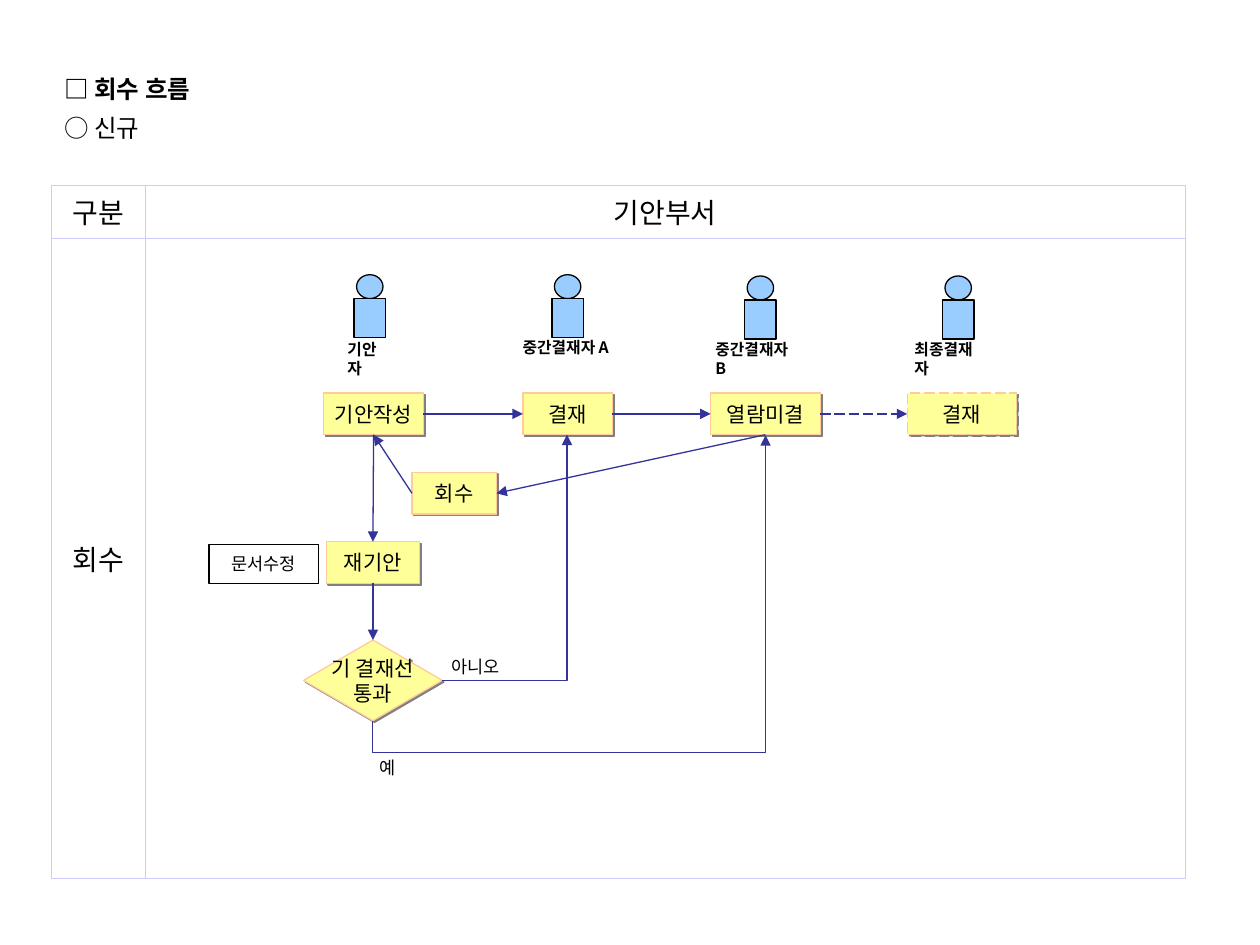
from lxml import etree
from pptx import Presentation
from pptx.dml.color import RGBColor
from pptx.enum.dml import MSO_LINE
from pptx.enum.shapes import MSO_CONNECTOR, MSO_SHAPE
from pptx.enum.text import MSO_ANCHOR, MSO_AUTO_SIZE, PP_ALIGN
from pptx.oxml.ns import qn
from pptx.util import Inches, Pt

RECTANGLE = MSO_SHAPE.RECTANGLE
PROCESS = MSO_SHAPE.FLOWCHART_PROCESS
DECISION = MSO_SHAPE.FLOWCHART_DECISION
OVAL = MSO_SHAPE.OVAL
STRAIGHT = MSO_CONNECTOR.STRAIGHT
ELBOW = MSO_CONNECTOR.ELBOW
LONG_DASH = MSO_LINE.LONG_DASH
MIDDLE = MSO_ANCHOR.MIDDLE
CENTER = PP_ALIGN.CENTER
FIT_SHAPE = MSO_AUTO_SIZE.SHAPE_TO_FIT_TEXT

BLACK = RGBColor(0x00, 0x00, 0x00)
YELLOW = RGBColor(0xFF, 0xFF, 0x99)
PEACH = RGBColor(0xFF, 0xCC, 0x99)
SKY = RGBColor(0x99, 0xCC, 0xFF)
NAVY = RGBColor(0x33, 0x33, 0x99)
LAVENDER = RGBColor(0xCC, 0xCC, 0xFF)
GRAY = RGBColor(0x80, 0x80, 0x80)

FONT = "Noto Sans CJK KR"
LINE_WIDTH = Pt(0.75)
TOP, LEFT, BOTTOM, RIGHT = range(4)


def add_element(parent, tag, **attributes):
    element = etree.SubElement(parent, qn(tag))
    for name, value in attributes.items():
        element.set(name, str(value))
    return element


def add_run(para, text, size, bold=False):
    span = para.add_run()
    span.text = text
    font = span.font
    font.size, font.bold, font.name = Pt(size), bold, FONT
    font.color.rgb = BLACK
    add_element(font._element, "a:ea", typeface=FONT)


def add_title(page):
    box = page.shapes.add_textbox(Inches(0.51), Inches(0.52), Inches(2.83), Inches(0.71))
    frame = box.text_frame
    frame.word_wrap = True
    frame.margin_left = frame.margin_top = frame.margin_right = frame.margin_bottom = 0
    para = frame.paragraphs[0]
    para.line_spacing = 1.3
    add_run(para, "□ 회수 흐름", 14, True)
    para.add_line_break()
    add_run(para, "○ 신규", 14)


def style_cell(cell, text):
    properties = cell._tc.get_or_add_tcPr()
    for side in ("a:lnL", "a:lnR", "a:lnT", "a:lnB"):
        border = add_element(properties, side, w=Pt(0.45))
        fill = add_element(border, "a:solidFill")
        add_element(fill, "a:srgbClr", val=LAVENDER)
    cell.fill.background()
    cell.vertical_anchor = MIDDLE
    if text:
        para = cell.text_frame.paragraphs[0]
        para.alignment = CENTER
        para.space_before = Pt(4)
        add_run(para, text, 16)


def add_frame_table(page):
    rows = [["구분", "기안부서"], ["회수", ""]]
    table = page.shapes.add_table(
        2, 2, Inches(0.41), Inches(1.47), Inches(9), Inches(5.45)).table
    table.first_row = table.horz_banding = False
    for column, width in zip(table.columns, (0.74, 8.26)):
        column.width = Inches(width)
    for row, height, texts in zip(table.rows, (0.37, 5.08), rows):
        row.height = Inches(height)
        for cell, text in zip(row.cells, texts):
            style_cell(cell, text)


def add_shape(shapes, kind, area, fill=None, line=None):
    shape = shapes.add_shape(kind, *map(Inches, area))
    shape.shadow.inherit = False
    if fill is None:
        shape.fill.background()
    else:
        shape.fill.solid()
        shape.fill.fore_color.rgb = fill
    if line is None:
        shape.line.fill.background()
    else:
        shape.line.color.rgb = line
        shape.line.width = LINE_WIDTH
    return shape


def add_label(page, area, lines, size=10, kind=PROCESS, fill=None, line=None):
    shape = add_shape(page.shapes, kind, area, fill, line)
    frame = shape.text_frame
    frame.word_wrap = False
    frame.vertical_anchor = MIDDLE
    for index, text in enumerate(lines):
        para = frame.add_paragraph() if index else frame.paragraphs[0]
        para.alignment = CENTER
        add_run(para, text, size)
    return shape


def add_step(page, area, *lines, kind=RECTANGLE):
    shape = add_label(page, area, lines, 12, kind, YELLOW, PEACH)
    effects = shape._element.spPr.find(qn("a:effectLst"))
    shadow = add_element(effects, "a:outerShdw", dist=Pt(1.4), dir=45 * 60000,
                         algn="ctr", rotWithShape=0)
    add_element(shadow, "a:srgbClr", val=GRAY)
    return shape


def add_person(page, left, top, name, name_area, wrap=False):
    group = page.shapes.add_group_shape()
    add_shape(group.shapes, OVAL, (left + 0.02, top, 0.21, 0.19), SKY, BLACK)
    add_shape(group.shapes, RECTANGLE, (left, top + 0.19, 0.25, 0.31), SKY, BLACK)
    box = page.shapes.add_textbox(*map(Inches, name_area))
    box.text_frame.word_wrap = wrap
    box.text_frame.auto_size = FIT_SHAPE
    add_run(box.text_frame.paragraphs[0], name, 9, True)


def add_arrow(page, kind, start=(0, 0), end=(0, 0), dash=None):
    arrow = page.shapes.add_connector(kind, *map(Inches, (*start, *end)))
    arrow.line.color.rgb = NAVY
    arrow.line.width = LINE_WIDTH
    if dash is not None:
        arrow.line.dash_style = dash
    add_element(arrow.line._get_or_add_ln(), "a:tailEnd", type="triangle")
    add_element(arrow._element.spPr, "a:effectLst")
    return arrow


def join(page, source, source_side, target, target_side, dash=None):
    arrow = add_arrow(page, STRAIGHT, dash=dash)
    arrow.begin_connect(source, source_side)
    arrow.end_connect(target, target_side)


def add_return_arrows(page):
    rejected = add_arrow(page, ELBOW, (3.51, 5.4), (4.5, 3.45))
    rejected._element.spPr.find(qn("a:prstGeom")).set("prst", "bentConnector2")

    passed = add_arrow(page, ELBOW, (5.65, 6.15), (3.38, 3.03))
    properties = passed._element.spPr
    properties.find(qn("a:xfrm")).set("rot", str(90 * 60000))
    adjustments = properties.find(qn("a:prstGeom")).find(qn("a:avLst"))
    add_element(adjustments, "a:gd", name="adj1", fmla="val -11000")


def main():
    deck = Presentation()
    deck.slide_width, deck.slide_height = Inches(10), Inches(7.5)
    page = deck.slides.add_slide(deck.slide_layouts[6])

    add_frame_table(page)
    add_title(page)

    add_person(page, 2.81, 2.18, "기안자", (2.66, 2.65, 0.54, 0.25))
    add_person(page, 4.38, 2.18, "중간결재자 A", (4.05, 2.63, 0.92, 0.25))
    add_person(page, 5.91, 2.19, "중간결재자 B", (5.58, 2.65, 0.88, 0.25), wrap=True)
    add_person(page, 7.48, 2.19, "최종결재자", (7.16, 2.65, 0.77, 0.25))

    draft = add_step(page, (2.57, 3.12, 0.79, 0.33), "기안작성")
    approval = add_step(page, (4.15, 3.12, 0.71, 0.33), "결재")
    pending = add_step(page, (5.64, 3.12, 0.87, 0.33), "열람미결")
    final = add_step(page, (7.2, 3.12, 0.87, 0.33), "결재")
    final.line.dash_style = LONG_DASH
    recall = add_step(page, (3.27, 3.75, 0.67, 0.33), "회수")
    redraft = add_step(page, (2.59, 4.3, 0.74, 0.33), "재기안")
    decision = add_step(page, (2.41, 5.08, 1.1, 0.64), "기 결재선", "통과", kind=DECISION)

    add_label(page, (1.66, 4.32, 0.87, 0.31), ["문서수정"], line=BLACK)
    add_label(page, (3.5, 5.17, 0.55, 0.24), ["아니오"])
    add_label(page, (2.8, 6, 0.55, 0.19), ["예"])

    join(page, draft, RIGHT, approval, LEFT)
    join(page, approval, RIGHT, pending, LEFT)
    join(page, pending, RIGHT, final, LEFT, LONG_DASH)
    join(page, pending, BOTTOM, recall, RIGHT)
    join(page, recall, LEFT, draft, BOTTOM)
    join(page, draft, BOTTOM, redraft, TOP)
    join(page, redraft, BOTTOM, decision, TOP)
    add_return_arrows(page)

    deck.save("out.pptx")


if __name__ == "__main__":
    main()
